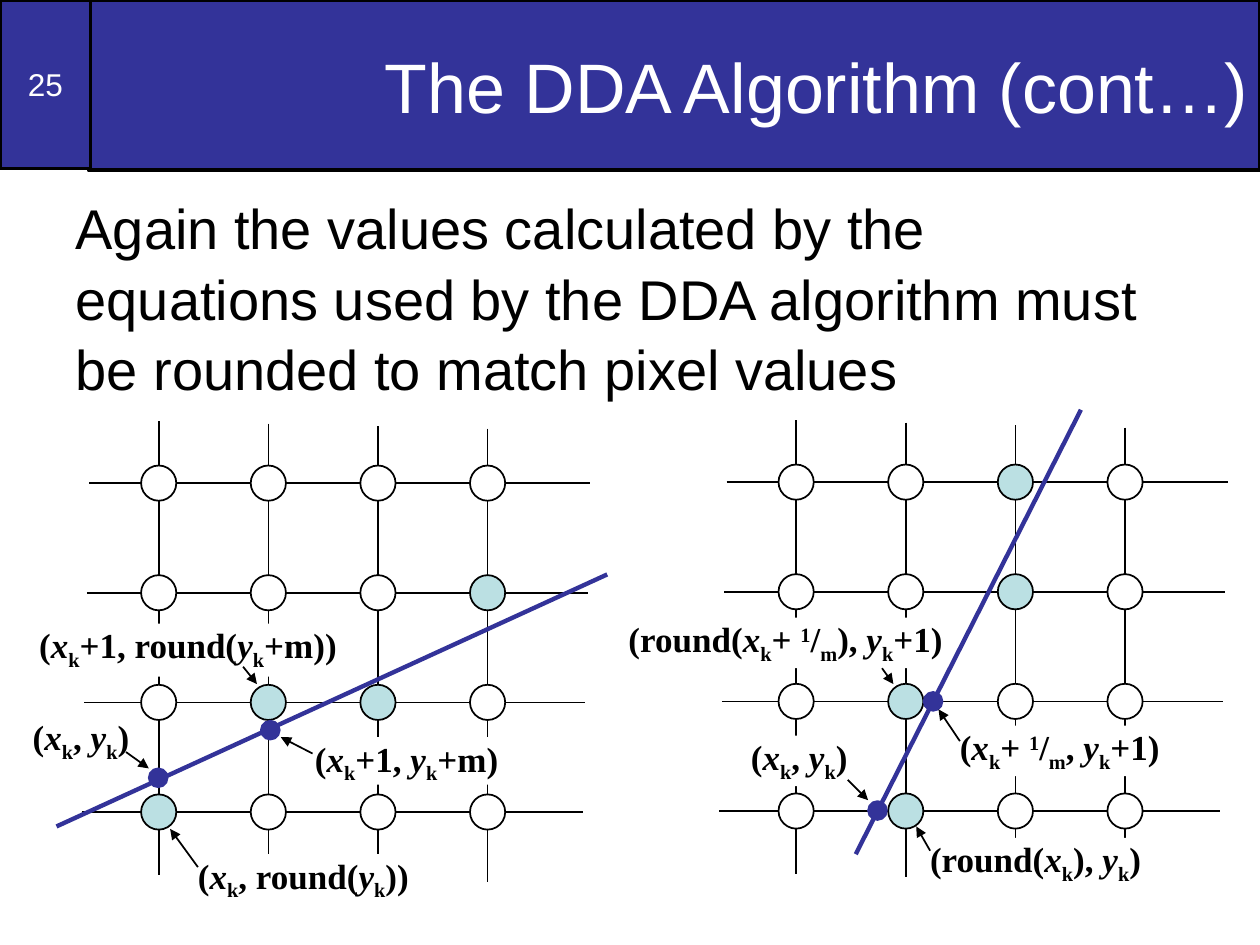
from dataclasses import dataclass

from lxml.etree import SubElement
from pptx import Presentation
from pptx.dml.color import RGBColor
from pptx.enum.shapes import MSO_CONNECTOR, MSO_SHAPE
from pptx.enum.text import MSO_ANCHOR, MSO_AUTO_SIZE, PP_ALIGN
from pptx.oxml.ns import qn
from pptx.util import Cm, Pt


@dataclass(frozen=True)
class Theme:
    ink: RGBColor = RGBColor(0, 0, 0)
    paper: RGBColor = RGBColor(0xFF, 0xFF, 0xFF)
    accent: RGBColor = RGBColor(0x33, 0x33, 0x99)
    chosen: RGBColor = RGBColor(0xBB, 0xE0, 0xE3)
    sans: str = "Arial"
    serif: str = "Times New Roman"
    title_size: int = 40
    body_size: int = 32
    number_size: int = 18
    label_size: int = 20


# Label parts that stand alone between bars: italic flag and baseline shift
MATH = {"x": (True, 0), "y": (True, 0), "k": (False, -25000),
        "m": (False, -25000), "1": (False, 30000)}


class SlideBuilder:
    def __init__(self, slide, theme):
        self.s, self.t = slide, theme

    def paint(self, sp, fill, line, width):
        sp.fill.solid()
        sp.fill.fore_color.rgb = fill
        sp.line.color.rgb = line
        sp.line.width = Pt(width)

    def font(self, r, name, size, color):
        r.font.name, r.font.size, r.font.color.rgb = name, Pt(size), color

    def place(self, sp, x, y, w, h):
        sp.left, sp.top, sp.width, sp.height = Cm(x), Cm(y), Cm(w), Cm(h)

    def set_text(self, sp, text, size, color, align, anchor):
        tf = sp.text_frame
        tf.text = text
        tf.word_wrap, tf.auto_size = True, MSO_AUTO_SIZE.NONE
        tf.vertical_anchor = anchor
        p = tf.paragraphs[0]
        p.alignment = align
        self.font(p.runs[0], self.t.sans, size, color)
        return tf

    def title(self, text, box):
        sp = self.s.shapes.title
        self.place(sp, *box)
        self.paint(sp, self.t.accent, self.t.ink, 2)
        self.set_text(sp, text, self.t.title_size, self.t.paper, PP_ALIGN.RIGHT, MSO_ANCHOR.MIDDLE)

    def body(self, text, box):
        sp = self.s.placeholders[1]
        self.place(sp, *box)
        tf = self.set_text(sp, text, self.t.body_size, self.t.ink, PP_ALIGN.LEFT, MSO_ANCHOR.TOP)
        tf.margin_right = Cm(0.5)
        p = tf.paragraphs[0]
        p.space_before, p.line_spacing = Pt(8), 1.05
        pPr = p._p.get_or_add_pPr()
        pPr.set("marL", "0")
        pPr.set("indent", "0")
        SubElement(pPr, qn("a:buNone"))

    def number(self, text, box):
        sp = self.s.shapes.add_shape(MSO_SHAPE.RECTANGLE, *map(Cm, box))
        sp.shadow.inherit = False
        self.paint(sp, self.t.accent, self.t.ink, 2)
        self.set_text(sp, text, self.t.number_size, self.t.paper, PP_ALIGN.CENTER, MSO_ANCHOR.MIDDLE)

    def line(self, start, end, color=None, width=1, arrow=False):
        cn = self.s.shapes.add_connector(MSO_CONNECTOR.STRAIGHT, *map(Cm, (*start, *end)))
        cn.line.color.rgb = color or self.t.ink
        cn.line.width = Pt(width)
        if arrow:
            SubElement(cn.line._get_or_add_ln(), qn("a:tailEnd"), type="triangle")
        SubElement(cn._element.spPr, qn("a:effectLst"))

    def circle(self, center, d, fill, line):
        x, y = center
        sp = self.s.shapes.add_shape(MSO_SHAPE.OVAL, Cm(x - d / 2), Cm(y - d / 2), Cm(d), Cm(d))
        sp.shadow.inherit = False
        self.paint(sp, fill, line, 1)

    def label(self, text, box):
        sp = self.s.shapes.add_textbox(*map(Cm, box))
        sp.fill.solid()
        sp.fill.fore_color.rgb = self.t.paper
        tf = sp.text_frame
        tf.word_wrap = False
        tf.margin_left = tf.margin_top = tf.margin_right = tf.margin_bottom = 0
        for part in text.split("|"):
            r = tf.paragraphs[0].add_run()
            r.text = part
            self.font(r, self.t.serif, self.t.label_size, self.t.ink)
            r.font.bold = True
            r.font.italic, shift = MATH.get(part, (False, 0))
            if shift:
                r.font._element.set("baseline", str(shift))

    def pixel_grid(self, x0, y0, chosen, n=4, pitch=2.21):
        # x0, y0 is the centre of the top left pixel
        for i in range(n):
            x, top = x0 + i * pitch, y0 - 1.25 + 0.05 * i
            self.line((x, top), (x, top + 9.15))
            y, left = y0 + i * pitch, x0 - 1.4 - 0.05 * i
            self.line((left, y), (left + 10.1, y))
        for row in range(n):
            for col in range(n):
                fill = self.t.chosen if (col, row) in chosen else self.t.paper
                self.circle((x0 + col * pitch, y0 + row * pitch), 0.71, fill, self.t.ink)

    def diagram(self, origin, chosen, ideal, points, labels, arrows):
        self.pixel_grid(*origin, chosen)
        self.line(*ideal, self.t.accent, 2.5)
        for point in points:
            self.circle(point, 0.38, self.t.accent, self.t.accent)
        for text, box in labels:
            self.label(text, box)
        for start, end in arrows:
            self.line(start, end, arrow=True)


# Position and content of both diagrams, in centimetres
SHALLOW = dict(
    origin=(3.2, 9.74),
    chosen={(3, 1), (1, 2), (2, 2), (0, 3)},
    ideal=((1.14, 16.66), (12.24, 11.58)),
    points=[(3.19, 15.68), (5.45, 14.72)],
    labels=[
        ("(|x|k|, |y|k|)", (0.66, 14.43, 1.95, 0.96)),
        ("(|x|k|+1, |y|k|+m)", (6.35, 14.86, 3.71, 0.96)),
        ("(|x|k|, round(|y|k|))", (3.99, 17.22, 4.27, 1.27)),
        ("(|x|k|+1, round(|y|k|+m))", (0.79, 12.57, 6.02, 1.07)),
    ],
    arrows=[((2.54, 15.16), (3, 15.49)), ((6.3, 15.19), (5.66, 14.86)),
            ((3.99, 17.48), (3.43, 16.71)), ((4.9, 13.44), (5.18, 13.79))],
)
STEEP = dict(
    origin=(16.05, 9.72),
    chosen={(2, 0), (2, 1), (1, 2), (1, 3)},
    ideal=((21.79, 8.26), (17.25, 17.22)),
    points=[(17.69, 16.34), (18.81, 14.14)],
    labels=[
        ("(|x|k|, |y|k|)", (15.14, 14.83, 1.96, 1.02)),
        ("(|x|k|+ |1|/|m|, |y|k|+1)", (19.35, 14.63, 4.04, 1.02)),
        ("(round(|x|k|), |y|k|)", (18.75, 16.89, 4.27, 1.07)),
        ("(round(|x|k|+ |1|/|m|), |y|k|+1)", (12.67, 12.45, 6.35, 1.02)),
    ],
    arrows=[((17.09, 15.72), (17.5, 16.13)), ((19.35, 14.94), (18.92, 14.3)),
            ((18.75, 17.15), (18.47, 16.66)), ((17.78, 13.47), (18.01, 13.79))],
)


def main():
    prs = Presentation()
    prs.slide_width, prs.slide_height = Cm(25.4), Cm(19.05)
    b = SlideBuilder(prs.slides.add_slide(prs.slide_layouts[1]), Theme())

    # Header band and text
    b.number("25", (0, 0, 1.83, 3.4))
    b.title("The DDA Algorithm (cont…)", (1.78, 0, 23.62, 3.43))
    b.body("Again the values calculated by the equations used by the DDA algorithm "
           "must be rounded to match pixel values", (1.27, 3.71, 22.86, 4.45))

    # Slope below one on the left, above one on the right
    for diagram in (SHALLOW, STEEP):
        b.diagram(**diagram)

    prs.save("out.pptx")


if __name__ == "__main__":
    main()
